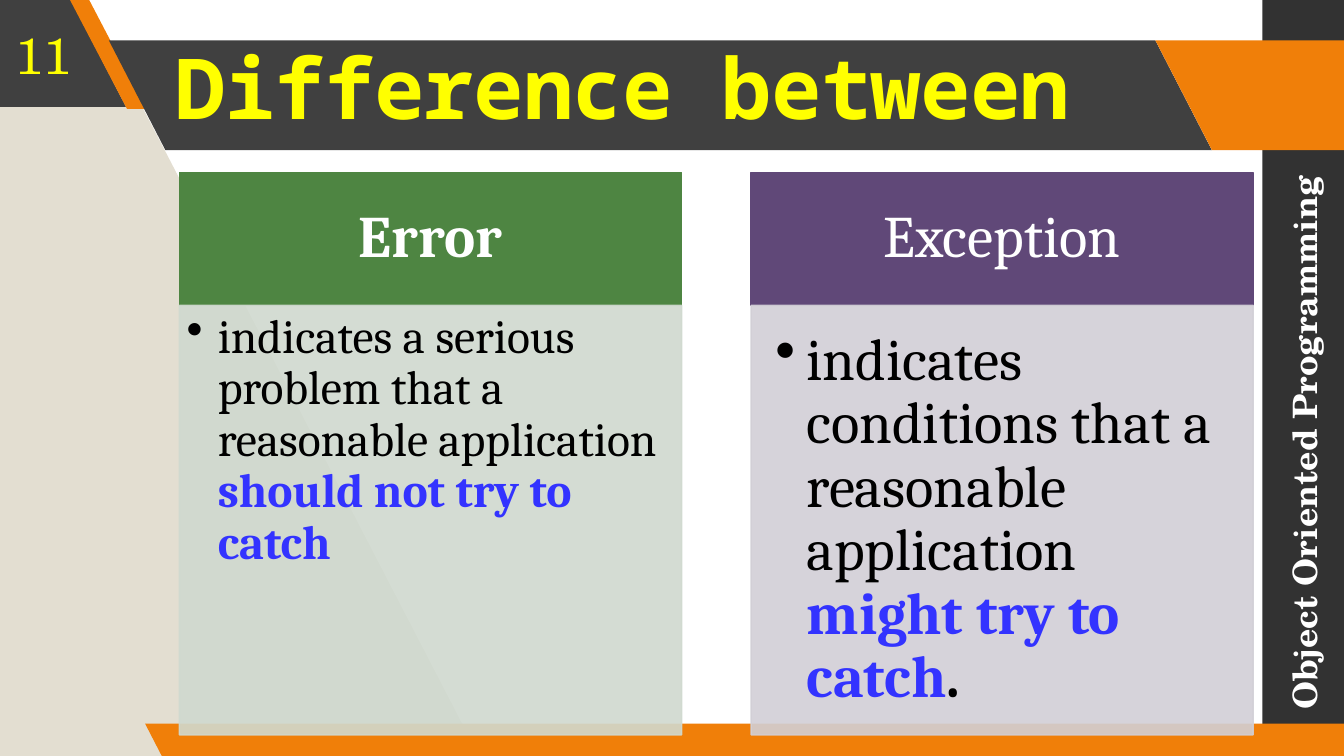
from pptx import Presentation
from pptx.dml.color import RGBColor
from pptx.enum.shapes import MSO_SHAPE
from pptx.enum.text import MSO_ANCHOR, MSO_AUTO_SIZE, PP_ALIGN
from pptx.oxml.ns import qn
from pptx.util import Inches, Pt
from lxml.etree import SubElement

WHITE = RGBColor(0xFF, 0xFF, 0xFF)
BLACK = RGBColor(0, 0, 0)
YELLOW = RGBColor(0xFF, 0xFF, 0)
BLUE = RGBColor(0x33, 0x33, 0xFF)
ORANGE = RGBColor(0xF0, 0x7F, 0x09)
CHARCOAL = RGBColor(0x40, 0x40, 0x40)
SIDEBAR = RGBColor(0x32, 0x32, 0x32)
BEIGE = RGBColor(0xE3, 0xDE, 0xD1)
GREEN = RGBColor(0x4E, 0x85, 0x42)
PALE_GREEN = RGBColor(0xD0, 0xD9, 0xCF)
PURPLE = RGBColor(0x60, 0x48, 0x78)
PALE_PURPLE = RGBColor(0xD2, 0xCF, 0xD6)


class Deck:
    body_font = "Cambria"
    title_font = "Noto Sans Mono"
    label_font = "TeX Gyre Schola"
    slant = 0.515

    def __init__(self):
        self.prs = Presentation()
        self.prs.slide_width = Inches(13.33)
        self.prs.slide_height = Inches(7.5)
        self.s = self.prs.slides.add_slide(self.prs.slide_layouts[5])

    def paint(self, sp, fill):
        sp.shadow.inherit = False
        sp.fill.solid()
        sp.fill.fore_color.rgb = fill
        sp.line.fill.background()
        return sp

    def rect(self, box, fill):
        sp = self.s.shapes.add_shape(MSO_SHAPE.RECTANGLE, *map(Inches, box))
        return self.paint(sp, fill)

    def band(self, box, fill, slant=slant):
        sp = self.s.shapes.add_shape(MSO_SHAPE.PARALLELOGRAM, *map(Inches, box))
        sp.adjustments[0] = slant
        sp._element.spPr.find(qn("a:xfrm")).set("flipH", "1")
        return self.paint(sp, fill)

    def polygon(self, points, fill):
        start, *rest = [(Inches(x), Inches(y)) for x, y in points]
        builder = self.s.shapes.build_freeform(*start)
        builder.add_line_segments(rest, close=True)
        return self.paint(builder.convert_to_shape(), fill)

    def panel(self, box, fill, opacity=100):
        sp = self.rect(box, fill)
        sp.line.color.rgb = fill
        sp.line.width = Pt(1.1)
        if opacity < 100:
            for color in sp._element.spPr.iter(qn("a:srgbClr")):
                SubElement(color, qn("a:alpha")).set("val", str(opacity * 1000))
        return sp

    def add_text(self, sp, runs, size, font, align=PP_ALIGN.LEFT,
                 anchor=MSO_ANCHOR.MIDDLE, insets=(0.1, 0.05, 0.1, 0.05),
                 spacing=1.0, bullet=False):
        tf = sp.text_frame
        tf.word_wrap = True
        tf.auto_size = MSO_AUTO_SIZE.NONE
        tf.vertical_anchor = anchor
        (tf.margin_left, tf.margin_top,
         tf.margin_right, tf.margin_bottom) = map(Inches, insets)
        p = tf.paragraphs[0]
        p.alignment = align
        p.line_spacing = spacing
        if bullet:
            p.level = 1
            pPr = p._p.get_or_add_pPr()
            pPr.set("marL", str(Inches(0.31)))
            pPr.set("indent", str(-Inches(0.31)))
            SubElement(pPr, qn("a:buChar")).set("char", "•")
        for text, color, bold in runs:
            r = p.add_run()
            r.text = text
            r.font.size = Pt(size)
            r.font.name = font
            r.font.bold = bold
            r.font.color.rgb = color
        return p

    def label(self, box, text, size, color, bold=False, rotation=0, **style):
        sp = self.s.shapes.add_textbox(*map(Inches, box))
        sp.rotation = rotation
        self.add_text(sp, [(text, color, bold)], size, self.label_font, **style)

    def title(self, box, text):
        sp = self.s.shapes.title
        sp.left, sp.top, sp.width, sp.height = map(Inches, box)
        self.s.shapes._spTree.append(sp._element)
        p = self.add_text(sp, [(text, YELLOW, True)], 60, self.title_font,
                          insets=(0.13,) * 4, spacing=0.8)
        p.runs[0]._r.get_or_add_rPr().set("spc", "-50")

    def column(self, left, heading, bold, dark, pale, runs, size, insets):
        head = self.panel((left, 1.71, 4.98, 1.32), dark)
        self.add_text(head, [(heading, WHITE, bold)], 42, self.body_font,
                      align=PP_ALIGN.CENTER, insets=(0.33, 0.19, 0.33, 0.19),
                      spacing=0.9)
        body = self.panel((left, 3.03, 4.98, 4.26), pale, opacity=90)
        self.add_text(body, runs, size, self.body_font, anchor=MSO_ANCHOR.TOP,
                      insets=insets, spacing=0.9, bullet=True)


def main():
    deck = Deck()
    deck.rect((12.52, 0, 0.83, 7.5), SIDEBAR)
    deck.polygon([(4.75, 7.5), (0.83, -0.06), (-0.08, -0.05), (-0.03, 7.55)], BEIGE)
    deck.band((-1.32, -0.03, 2.57, 1.09), CHARCOAL)
    deck.band((0.69, -0.01, 0.76, 1.09), ORANGE, slant=0.75)
    deck.band((1.08, 0.4, 10.94, 1.09), CHARCOAL)
    deck.band((11.46, 0.4, 2.57, 1.09), ORANGE)
    deck.band((1.44, 7.18, 12.2, 0.33), ORANGE)

    deck.title((1.61, 0.4, 11.04, 1.09), "Difference between")
    deck.label((10.18, 4.19, 5.5, 0.4), "Object Oriented Programming", 24, WHITE,
               bold=True, rotation=270)
    deck.label((0, 0, 0.87, 1.07), "11", 36, YELLOW,
               align=PP_ALIGN.CENTER, insets=(0.1,) * 4)

    deck.column(1.78, "Error", True, GREEN, PALE_GREEN, [
        ("indicates a serious problem that a reasonable application ", BLACK, False),
        ("should not try to catch", BLUE, True),
    ], 34, (0.07, 0.07, 0.09, 0.1))
    deck.column(7.45, "Exception", False, PURPLE, PALE_PURPLE, [
        ("indicates conditions that a reasonable application ", BLACK, False),
        ("might try to catch", BLUE, True),
        (".", BLACK, True),
    ], 42, (0.24, 0.24, 0.33, 0.37))

    deck.prs.save("out.pptx")


if __name__ == "__main__":
    main()
